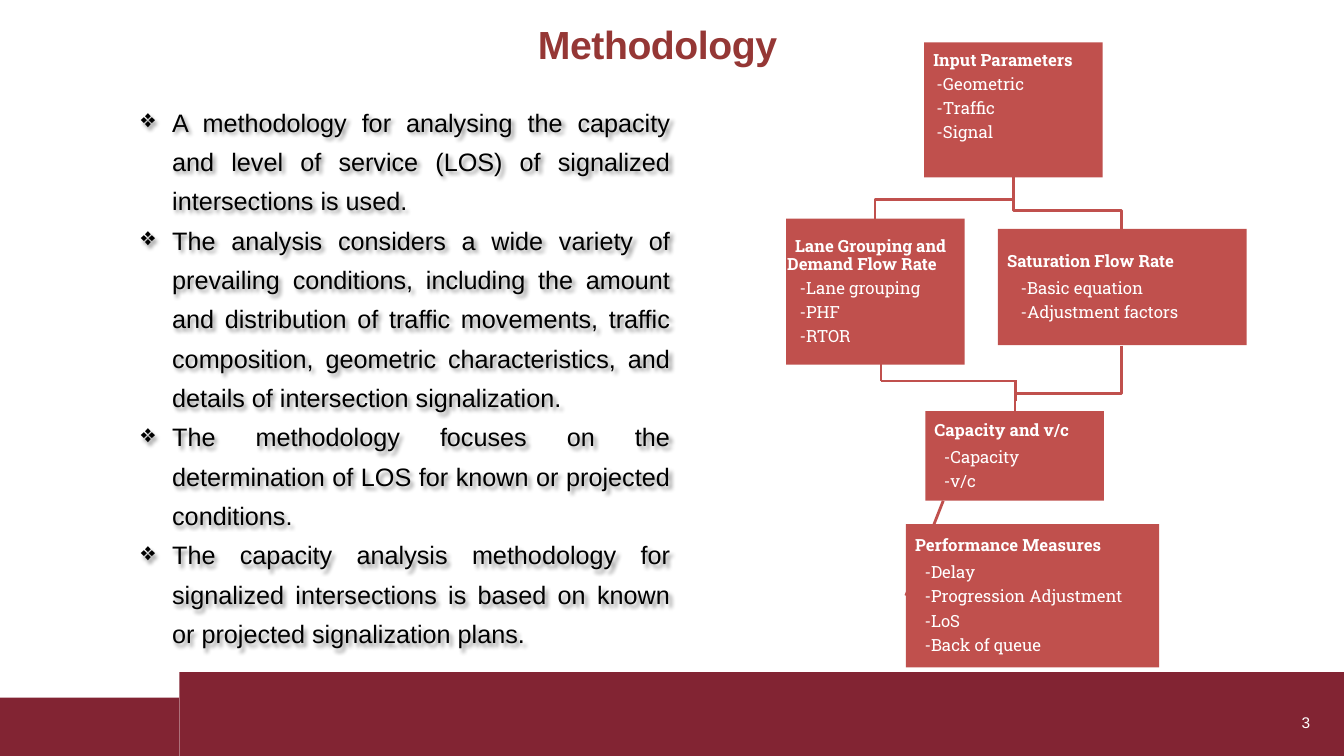
"""Build the Methodology slide: four bulleted points beside a flow chart of the analysis steps."""
from dataclasses import dataclass

from lxml.etree import SubElement
from pptx import Presentation
from pptx.dml.color import RGBColor as Rgb
from pptx.enum.shapes import MSO_CONNECTOR as Connector, MSO_SHAPE as Preset
from pptx.enum.text import MSO_ANCHOR as Anchor, MSO_AUTO_SIZE as AutoSize, PP_ALIGN as Align
from pptx.oxml.ns import qn
from pptx.util import Cm, Pt


@dataclass(frozen=True)
class Theme:
    footer: Rgb = Rgb(0x82, 0x24, 0x33)
    heading: Rgb = Rgb(0x95, 0x37, 0x35)
    flow: Rgb = Rgb(0xC0, 0x50, 0x4D)
    ink: Rgb = Rgb(0, 0, 0)
    paper: Rgb = Rgb(255, 255, 255)
    sans: str = "Arial"
    slab: str = "Roboto Slab"
    title_size: Pt = Pt(28)
    point_size: Pt = Pt(18)
    step_size: Pt = Pt(12)
    number_size: Pt = Pt(11)
    flow_line: Pt = Pt(2)


theme = Theme()


def write(frame, text, size, color, font=theme.sans, bold=False, align=Align.LEFT, spacing=1.0,
          before=0, after=0, margin=0, indent=0, bullet=None, tracking=None):
    """Add one formatted paragraph, using the empty first one if it is free."""
    paragraph = frame.add_paragraph() if frame.text else frame.paragraphs[0]
    paragraph.alignment, paragraph.line_spacing = align, spacing
    paragraph.space_before, paragraph.space_after = Pt(before), Pt(after)
    properties = paragraph._p.get_or_add_pPr()
    properties.set("marL", str(Cm(margin)))
    properties.set("indent", str(Cm(indent)))
    if bullet:
        SubElement(properties, qn("a:buChar")).set("char", bullet)
    run = paragraph.add_run()
    run.text = text
    run.font.size, run.font.name, run.font.bold = size, font, bold
    run.font.color.rgb = color
    if tracking:
        run._r.get_or_add_rPr().set("spc", str(tracking))


def block(left, top, width, height, color):
    """Add a plain filled rectangle, measured in centimetres."""
    shape = slide.shapes.add_shape(Preset.RECTANGLE, Cm(left), Cm(top), Cm(width), Cm(height))
    shape.fill.solid()
    shape.fill.fore_color.rgb = color
    shape.line.fill.background()
    shape.shadow.inherit = False
    return shape


deck = Presentation()
deck.slide_width, deck.slide_height = Cm(33.87), Cm(19.05)
slide = deck.slides.add_slide(deck.slide_layouts[5])

block(0, 17.58, 4.51, 1.47, theme.footer)
block(4.52, 16.94, 29.35, 2.11, theme.footer)
number = slide.shapes.add_textbox(Cm(32.72), Cm(17.98), Cm(0.58), Cm(0.51)).text_frame
number.margin_left = number.margin_right = number.margin_top = number.margin_bottom = 0
number.word_wrap = True
write(number, "3", theme.number_size, theme.paper, margin=0.08)

heading = slide.shapes.title
heading.left, heading.top, heading.width, heading.height = Cm(1.24), Cm(0.2), Cm(30.66), Cm(1.55)
heading.text_frame.auto_size = AutoSize.NONE
heading.text_frame.vertical_anchor = Anchor.TOP
write(heading.text_frame, "Methodology", theme.title_size, theme.heading, bold=True,
      align=Align.CENTER, spacing=1.15, tracking=-30)

points = slide.shapes.add_textbox(Cm(3.3), Cm(2.34), Cm(13.84), Cm(14.15))
points.text_frame.word_wrap = True
for point in (
    "A methodology for analysing the capacity and level of service (LOS) of signalized "
    "intersections is used.",
    "The analysis considers a wide variety of prevailing conditions, including the amount and "
    "distribution of traffic movements, traffic composition, geometric characteristics, and "
    "details of intersection signalization.",
    "The methodology focuses on the determination of LOS for known or projected conditions.",
    "The capacity analysis methodology for signalized intersections is based on known or "
    "projected signalization plans.",
):
    write(points.text_frame, point, theme.point_size, theme.ink, align=Align.JUSTIFY,
          spacing=Pt(28.08), margin=0.79, indent=-0.79, bullet="❖")
effects = SubElement(points._element.spPr, qn("a:effectLst"))
glow = SubElement(effects, qn("a:outerShdw"), blurRad="38100", dist="38100", dir="2700000")
tint = SubElement(glow, qn("a:srgbClr"), val="000000")
SubElement(tint, qn("a:alpha"), val="43000")

elbows = (
    ((28.27, 8.71), (28.27, 9.91), (25.58, 9.91), (25.58, 10.36)),
    ((25.55, 4.47), (25.55, 5.31), (28.27, 5.31), (28.27, 5.77)),
    ((25.55, 4.47), (25.55, 5.03), (22.05, 5.03), (22.05, 5.51)),
)
for start, *bends in elbows:
    outline = slide.shapes.build_freeform(Cm(start[0]), Cm(start[1]))
    outline.add_line_segments([(Cm(x), Cm(y)) for x, y in bends], close=False)
    elbow = outline.convert_to_shape()
    elbow.fill.background()
    elbow.line.color.rgb, elbow.line.width = theme.flow, theme.flow_line
    elbow.shadow.inherit = False

links = (
    (23.77, 12.62, 22.83, 15.01),
    (22.2, 9.09, 22.2, 9.6),
    (25.6, 9.58, 25.6, 10.11),
    (25.6, 9.6, 22.2, 9.6),
)
for ends in links:
    link = slide.shapes.add_connector(Connector.STRAIGHT, *map(Cm, ends))
    link.line.color.rgb, link.line.width = theme.flow, theme.flow_line
    SubElement(link._element.spPr, qn("a:effectLst"))

steps = (
    ((23.29, 1.07, 4.5, 3.4), "Input Parameters",
     ("-Geometric", "-Traffic", "-Signal"), 0.28, 0, 0.7),
    ((19.81, 5.51, 4.5, 3.68), "Lane Grouping and Demand Flow Rate",
     ("-Lane grouping", "-PHF", "-RTOR"), 0.31, 0, 0.03),
    ((25.15, 5.77, 6.27, 2.93), "Saturation Flow Rate",
     ("-Basic equation", "-Adjustment factors"), 0.54, 2, 0.03),
    ((23.32, 10.36, 4.5, 2.26), "Capacity and v/c",
     ("-Capacity", "-v/c"), 0.44, 2, 0.03),
    ((22.83, 13.21, 6.38, 3.61), "Performance Measures",
     ("-Delay", "-Progression Adjustment", "-LoS", "-Back of queue"), 0.44, 2, 0.03),
)
step_format = dict(size=theme.step_size, color=theme.paper, font=theme.slab,
                   spacing=Pt(13), after=4.2)
for bounds, step, items, indent, gap, bottom in steps:
    frame = block(*bounds, theme.flow).text_frame
    frame.word_wrap = True
    frame.vertical_anchor = Anchor.MIDDLE
    frame.margin_left = frame.margin_right = frame.margin_top = Cm(0.03)
    frame.margin_bottom = Cm(bottom)
    write(frame, step, bold=True, indent=0.2, **step_format)
    for position, item in enumerate(items):
        write(frame, item, indent=indent, before=0 if position else gap, **step_format)

deck.save("out.pptx")
